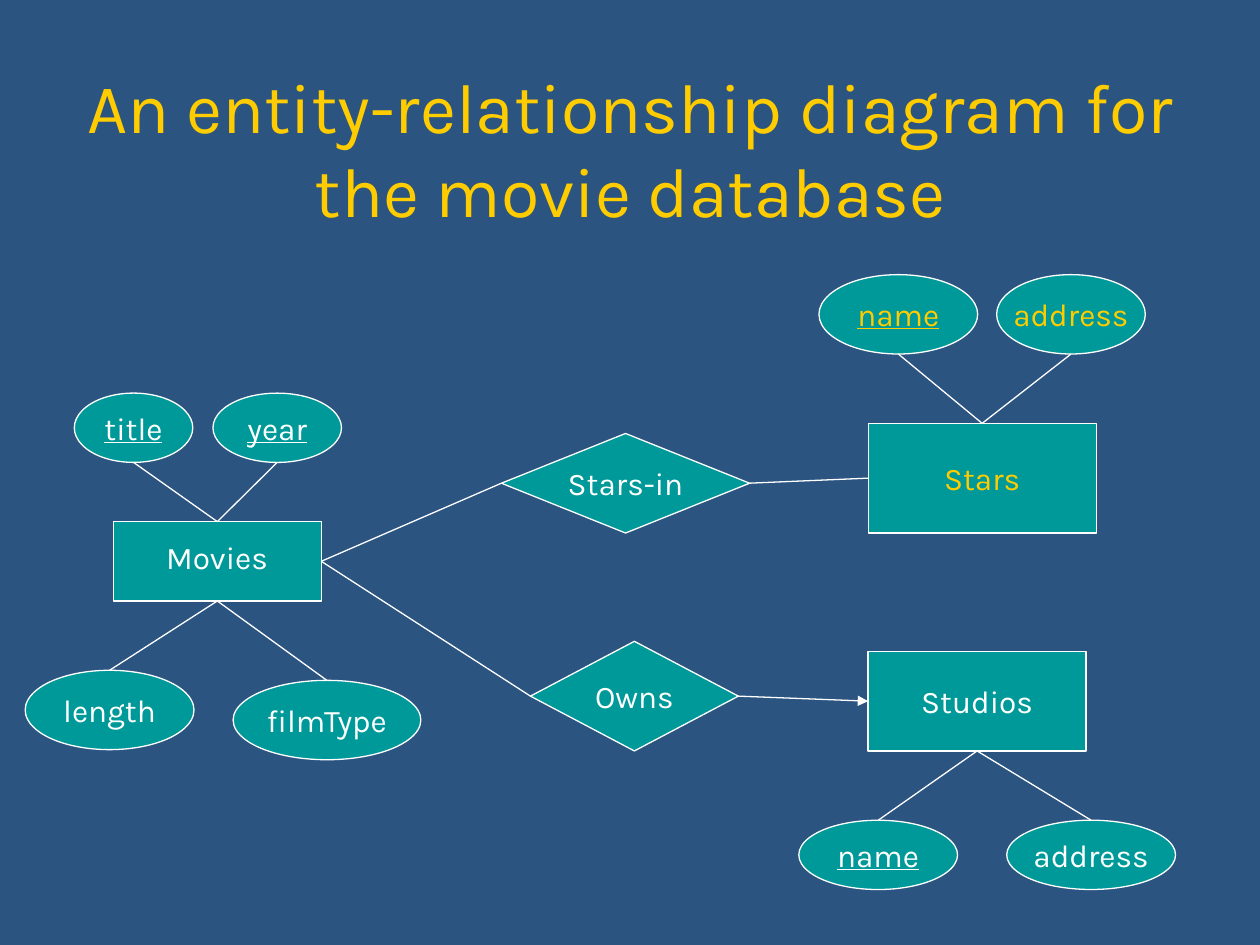
from lxml import etree
from pptx import Presentation
from pptx.dml.color import RGBColor
from pptx.enum.shapes import MSO_CONNECTOR, MSO_SHAPE
from pptx.enum.text import MSO_ANCHOR, MSO_AUTO_SIZE, PP_ALIGN
from pptx.oxml.ns import qn
from pptx.util import Inches, Pt

RECTANGLE = MSO_SHAPE.RECTANGLE
ELLIPSE = MSO_SHAPE.OVAL
DIAMOND = MSO_SHAPE.FLOWCHART_DECISION
STRAIGHT = MSO_CONNECTOR.STRAIGHT
MIDDLE = MSO_ANCHOR.MIDDLE
CENTER, LEFT = PP_ALIGN.CENTER, PP_ALIGN.LEFT
GROW = MSO_AUTO_SIZE.SHAPE_TO_FIT_TEXT
TOP_SIDE, LEFT_SIDE, BOTTOM_SIDE, RIGHT_SIDE = range(4)

COLORS = {"background": "2B5481", "fill": "009999", "white": "FFFFFF", "gold": "FFCC00"}

# key: (kind, left, top, width, height, text, format)
NODES = {
    "movies": (RECTANGLE, 0.9, 4.14, 1.65, 0.63, "", {}),
    "title": (ELLIPSE, 0.59, 3.12, 0.94, 0.55, "title", {"underline": True}),
    "year": (ELLIPSE, 1.69, 3.12, 1.02, 0.55, "year", {"underline": True}),
    "length": (ELLIPSE, 0.2, 5.32, 1.34, 0.63, "length", {}),
    "film type": (ELLIPSE, 1.85, 5.4, 1.49, 0.63, "filmType", {}),
    "stars-in": (DIAMOND, 3.98, 3.44, 1.97, 0.79, "Stars-in", {}),
    "owns": (DIAMOND, 4.21, 5.09, 1.65, 0.87, "Owns", {}),
    "stars": (RECTANGLE, 6.89, 3.36, 1.81, 0.87, "Stars", {"color": "gold"}),
    "star name": (ELLIPSE, 6.5, 2.18, 1.26, 0.63, "name", {"color": "gold", "underline": True}),
    "star address": (ELLIPSE, 7.91, 2.18, 1.18, 0.63, "address", {"color": "gold"}),
    "studios": (RECTANGLE, 6.89, 5.17, 1.73, 0.79, "Studios", {}),
    "studio name": (ELLIPSE, 6.34, 6.51, 1.26, 0.55, "name", {"underline": True}),
    "studio address": (ELLIPSE, 7.99, 6.51, 1.34, 0.55, "address", {}),
}

# (from, side, to, side, has arrowhead)
LINKS = [
    ("length", TOP_SIDE, "movies", BOTTOM_SIDE, False),
    ("film type", TOP_SIDE, "movies", BOTTOM_SIDE, False),
    ("title", BOTTOM_SIDE, "movies", TOP_SIDE, False),
    ("year", BOTTOM_SIDE, "movies", TOP_SIDE, False),
    ("studio name", TOP_SIDE, "studios", BOTTOM_SIDE, False),
    ("studio address", TOP_SIDE, "studios", BOTTOM_SIDE, False),
    ("star name", BOTTOM_SIDE, "stars", TOP_SIDE, False),
    ("star address", BOTTOM_SIDE, "stars", TOP_SIDE, False),
    ("movies", RIGHT_SIDE, "stars-in", LEFT_SIDE, False),
    ("stars-in", RIGHT_SIDE, "stars", LEFT_SIDE, False),
    ("movies", RIGHT_SIDE, "owns", LEFT_SIDE, False),
    ("owns", RIGHT_SIDE, "studios", LEFT_SIDE, True),
]


def side_middle(shape, side):
    center_x = shape.left + shape.width // 2
    center_y = shape.top + shape.height // 2
    return {
        TOP_SIDE: (center_x, shape.top),
        LEFT_SIDE: (shape.left, center_y),
        BOTTOM_SIDE: (center_x, shape.top + shape.height),
        RIGHT_SIDE: (shape.left + shape.width, center_y),
    }[side]


class DiagramSlide:
    """Holds the diagram style and the slide being drawn."""

    font_name = "Karla"
    line_width = Pt(0.75)

    def __init__(self, slide):
        self.slide = slide
        self.set_fill(slide.background.fill, "background")

    def set_fill(self, fill, color):
        fill.solid()
        fill.fore_color.rgb = RGBColor.from_string(COLORS[color])

    def set_line(self, line):
        self.set_fill(line.fill, "white")
        line.width = self.line_width

    def add_text(self, frame, text, color="white", size=18, align=CENTER, underline=None):
        paragraph = frame.paragraphs[0]
        paragraph.alignment = align
        run = paragraph.add_run()
        run.text = text
        values = {"name": self.font_name, "size": Pt(size), "underline": underline}
        for name, value in values.items():
            setattr(run.font, name, value)
        run.font.color.rgb = RGBColor.from_string(COLORS[color])

    def text_box(self, left, top, width, height, text, frame_values, **text_format):
        box = self.slide.shapes.add_textbox(*map(Inches, (left, top, width, height)))
        for name, value in frame_values.items():
            setattr(box.text_frame, name, value)
        self.add_text(box.text_frame, text, **text_format)

    def node(self, kind, left, top, width, height, text, text_format):
        shape = self.slide.shapes.add_shape(kind, *map(Inches, (left, top, width, height)))
        shape.shadow.inherit = False
        self.set_fill(shape.fill, "fill")
        self.set_line(shape.line)
        if text:
            shape.text_frame.word_wrap = False
            shape.text_frame.vertical_anchor = MIDDLE
            self.add_text(shape.text_frame, text, **text_format)
        return shape

    def link(self, start, start_side, end, end_side, arrow):
        """Join two nodes; an ellipse numbers its sites differently, so only its top is glued."""
        connector = self.slide.shapes.add_connector(
            STRAIGHT, *side_middle(start, start_side), *side_middle(end, end_side))
        if start.auto_shape_type != ELLIPSE or start_side == TOP_SIDE:
            connector.begin_connect(start, start_side)
        connector.end_connect(end, end_side)
        self.set_line(connector.line)
        properties = connector.element.spPr
        if arrow:
            etree.SubElement(properties.find(qn("a:ln")), qn("a:tailEnd"), type="triangle")
        etree.SubElement(properties, qn("a:effectLst"))


def main():
    presentation = Presentation()
    presentation.slide_width = Inches(10)
    presentation.slide_height = Inches(7.5)
    diagram = DiagramSlide(presentation.slides.add_slide(presentation.slide_layouts[6]))

    diagram.text_box(0.5, 0.42, 9, 1.5, "An entity-relationship diagram for the movie database",
                     {"word_wrap": True, "vertical_anchor": MIDDLE}, color="gold", size=40)
    shapes = {key: diagram.node(*node) for key, node in NODES.items()}
    diagram.text_box(1.22, 4.22, 1.02, 0.4, "Movies",
                     {"word_wrap": False, "auto_size": GROW}, align=LEFT)
    for start, start_side, end, end_side, arrow in LINKS:
        diagram.link(shapes[start], start_side, shapes[end], end_side, arrow)

    presentation.save("out.pptx")


if __name__ == "__main__":
    main()
